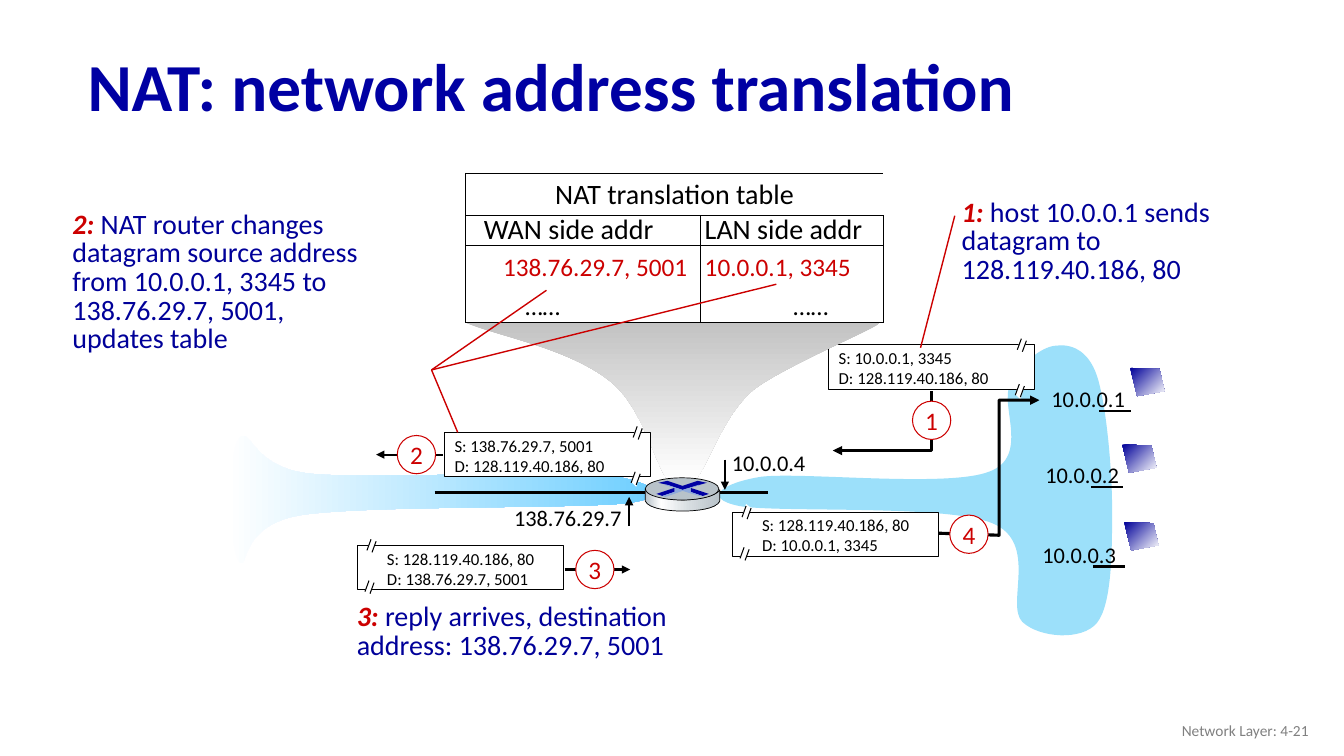
"""Build the slide that explains network address translation in four steps."""
from itertools import islice

from lxml.etree import SubElement
from pptx import Presentation
from pptx.dml.color import RGBColor
from pptx.enum.shapes import MSO_CONNECTOR, MSO_SHAPE
from pptx.enum.text import MSO_ANCHOR, PP_ALIGN
from pptx.oxml import parse_xml
from pptx.oxml.ns import nsdecls, qn
from pptx.util import Inches, Pt

COLORS = {
    "black": "000000", "white": "FFFFFF", "red": "CC0000", "navy": "0000A3",
    "note": "000099", "lan": "9CE0FA", "wan": "66CCFF", "silver": "BFBFBF",
    "steel": "B8C2C9", "mist": "D6DCE0", "edge": "8FAADC", "footer": "808080",
}


def rgb(name):
    return RGBColor.from_string(COLORS[name])


class Diagram:
    def __init__(self, slide, font="Calibri"):
        self.shapes = slide.shapes
        self.font = font

    def style(self, p, size, color="black", bold=False, align=None, spacing=None):
        p.alignment = align
        p.line_spacing = spacing
        p.font.name, p.font.size, p.font.bold = self.font, Pt(size), bold
        p.font.color.rgb = rgb(color)

    def paint(self, sp, fill, line=None, width=0.75):
        sp.shadow.inherit = False
        if fill:
            sp.fill.solid()
            sp.fill.fore_color.rgb = rgb(fill)
        else:
            sp.fill.background()
        if line:
            sp.line.color.rgb = rgb(line)
            sp.line.width = Pt(width)
        else:
            sp.line.fill.background()

    def gradient(self, sp, stops, angle=0):
        sp.fill.gradient()
        sp.fill.gradient_angle = -angle % 360
        stop_list = sp.element.find(".//" + qn("a:gsLst"))
        stop_list.clear()
        for position, color in stops:
            gs = SubElement(stop_list, qn("a:gs"), pos=str(position * 1000))
            SubElement(gs, qn("a:srgbClr"), val=COLORS[color])

    def shape(self, kind, x, y, w, h, fill="white", line="black", width=0.75):
        sp = self.shapes.add_shape(kind, Inches(x), Inches(y), Inches(w), Inches(h))
        self.paint(sp, fill, line, width)
        return sp

    def textbox(self, x, y, w, h, wrap=True, anchor=MSO_ANCHOR.TOP):
        tf = self.shapes.add_textbox(Inches(x), Inches(y), Inches(w), Inches(h)).text_frame
        tf.word_wrap, tf.vertical_anchor = wrap, anchor
        return tf

    def text(self, x, y, w, h, lines, size, wrap=True, anchor=MSO_ANCHOR.TOP, **style):
        tf = self.textbox(x, y, w, h, wrap, anchor)
        tf.text = "\n".join(lines)
        for p in tf.paragraphs:
            self.style(p, size, **style)

    def note(self, x, y, w, h, label, *lines):
        tf = self.textbox(x, y, w, h)
        p = tf.paragraphs[0]
        r = p.add_run()
        r.text = label + " "
        r.font.bold = r.font.italic = True
        r.font.color.rgb = rgb("red")
        p.add_run().text = lines[0]
        for line in lines[1:]:
            tf.add_paragraph().text = line
        for p in tf.paragraphs:
            self.style(p, 20, "note", spacing=0.85)

    def arrowhead(self, sp):
        SubElement(sp.element.find(".//" + qn("a:ln")), qn("a:tailEnd"), type="triangle")

    def line(self, x1, y1, x2, y2, color="black", width=0.75, arrow=False):
        cx = self.shapes.add_connector(
            MSO_CONNECTOR.STRAIGHT, Inches(x1), Inches(y1), Inches(x2), Inches(y2))
        cx.line.color.rgb = rgb(color)
        cx.line.width = Pt(width)
        if arrow:
            self.arrowhead(cx)
        SubElement(cx.element.find(qn("p:spPr")), qn("a:effectLst"))

    def outline(self, start, segments, fill=None, line=None, width=0.75, close=True):
        points = [seg[i:i + 2] for seg in segments for i in range(0, len(seg), 2)]
        builder = self.shapes.build_freeform(Inches(start[0]), Inches(start[1]))
        builder.add_line_segments([(Inches(x), Inches(y)) for x, y in points], close)
        sp = builder.convert_to_shape()
        steps = iter(list(sp.element.iter(qn("a:lnTo"))))
        for seg in segments:
            group = list(islice(steps, len(seg) // 2))
            if len(group) == 3:
                curve = group[0].makeelement(qn("a:cubicBezTo"))
                group[0].addprevious(curve)
                for step in group:
                    curve.append(step[0])
                    step.getparent().remove(step)
        self.paint(sp, fill, line, width)
        return sp

    def route(self, start, *points):
        self.arrowhead(self.outline(start, points, None, "black", 2.25, close=False))

    def step(self, x, y, number):
        sp = self.shape(MSO_SHAPE.OVAL, x, y, 0.38, 0.38, line="red")
        tf = sp.text_frame
        tf.margin_left = tf.margin_right = tf.margin_top = tf.margin_bottom = 0
        tf.word_wrap, tf.vertical_anchor = False, MSO_ANCHOR.MIDDLE
        tf.text = number
        self.style(tf.paragraphs[0], 18, "red", align=PP_ALIGN.CENTER)

    def packet(self, x, y, source, target, reply=False):
        self.shape(MSO_SHAPE.RECTANGLE, x, y, 2.04, 0.44)
        self.text(x + (0.19 if reply else 0), y - 0.02, 1.93, 0.5,
                  ["S: " + source, "D: " + target], 12)
        breaks = [(0.09, -0.08), (0.07, 0.33)] if reply else [(1.87, -0.08), (1.85, 0.37)]
        for dx, dy in breaks:
            bx, by = x + dx, y + dy
            self.outline((bx + 0.04, by), [(bx, by + 0.12), (bx + 0.05, by + 0.17),
                                           (bx + 0.09, by + 0.04)], "white")
            self.line(bx + 0.04, by + 0.02, bx, by + 0.13)
            self.line(bx + 0.09, by + 0.04, bx + 0.05, by + 0.15)

    def table(self, x, y, widths, rows):
        heights = [row[0] for row in rows]
        table = self.shapes.add_table(
            len(rows), len(widths), Inches(x), Inches(y),
            Inches(sum(widths)), Inches(sum(heights))).table
        table.first_row = table.horz_banding = False
        for col, width in zip(table.columns, widths):
            col.width = Inches(width)
        table.cell(0, 0).merge(table.cell(0, 1))
        for i, (height, size, color, spacing, cells) in enumerate(rows):
            table.rows[i].height = Inches(height)
            for j, (text, indent) in enumerate(cells):
                cell = table.cell(i, j)
                cell.text = text
                cell.margin_left = Inches(indent)
                cell.margin_right = cell.margin_top = cell.margin_bottom = 0
                cell.vertical_anchor = MSO_ANCHOR.MIDDLE
                self.style(cell.text_frame.paragraphs[0], size, color, spacing=spacing,
                           align=None if i else PP_ALIGN.CENTER)
                cell.fill.solid()
                cell.fill.fore_color.rgb = rgb("white")
                ruled = {"L": i or not j, "R": i or j, "T": i < 3, "B": i != 2}
                for k, (side, shown) in enumerate(ruled.items()):
                    paint = (f'<a:solidFill><a:srgbClr val="{COLORS["black"]}"/></a:solidFill>'
                             if shown else "<a:noFill/>")
                    cell.fill._xPr.insert(k, parse_xml(
                        f'<a:ln{side} {nsdecls("a")} w="9525">{paint}</a:ln{side}>'))


def main():
    prs = Presentation()
    prs.slide_width, prs.slide_height = Inches(13.33), Inches(7.5)
    d = Diagram(prs.slides.add_slide(prs.slide_layouts[6]))
    d.text(0.77, 0.31, 11.5, 1.17, ["NAT: network address translation"], 48,
           anchor=MSO_ANCHOR.MIDDLE, color="navy", bold=True, spacing=0.9)

    wan = d.outline((5.98, 4.71), [
        (5.45, 4.66, 3.68, 4.76, 3.08, 4.7), (2.48, 4.64, 2.49, 4.21, 2.37, 4.35),
        (2.25, 4.5, 2.27, 5.44, 2.37, 5.57), (2.47, 5.69, 2.35, 5.21, 2.99, 5.11),
        (3.63, 5.01, 5.73, 5.05, 6.23, 4.99), (6.73, 4.92, 6.41, 4.76, 5.98, 4.71)])
    d.gradient(wan, [(0, "white"), (100, "wan")])
    d.outline((7.55, 4.73), [
        (7.96, 4.68, 9.4, 4.84, 9.81, 4.68), (10.22, 4.53, 9.91, 4.02, 10.02, 3.81),
        (10.13, 3.6, 10.33, 3.44, 10.47, 3.43), (10.61, 3.41, 10.79, 3.46, 10.88, 3.73),
        (10.97, 4, 11.03, 4.64, 11.03, 5.05), (11.03, 5.46, 11.03, 5.99, 10.88, 6.18),
        (10.73, 6.36, 10.31, 6.33, 10.14, 6.17), (9.97, 6, 10.31, 5.38, 9.84, 5.19),
        (9.38, 5, 7.71, 5.09, 7.33, 5.02), (6.95, 4.94, 7.17, 4.79, 7.55, 4.73)], "lan")

    d.packet(8.22, 3.42, "10.0.0.1, 3345", "128.119.40.186, 80")
    d.route((9.24, 3.88), (9.24, 4.47), (8.26, 4.47))
    d.step(9.05, 3.98, "1")
    d.text(7.16, 4.41, 0.94, 0.37, ["10.0.0.4"], 16, wrap=False)
    d.text(5, 4.95, 1.28, 0.37, ["138.76.29.7"], 16, wrap=False)
    d.note(9.44, 1.93, 3.36, 0.96, "1:", "host 10.0.0.1 sends datagram to 128.119.40.186, 80")
    d.line(9.47, 2.14, 9.13, 3.45, "red", 1)

    funnel = d.outline((4.62, 3.2), [
        (4.62, 3.2, 8.23, 3.09, 8.71, 3.2), (8.85, 3.19, 7.77, 3.63, 7.47, 3.87),
        (7.17, 4.12, 7.02, 4.63, 6.89, 4.77), (6.63, 4.77),
        (6.49, 4.6, 6.38, 4.04, 6.05, 3.78), (5.63, 3.45, 4.95, 3.34, 4.62, 3.2)])
    d.gradient(funnel, [(0, "silver"), (100, "white")], 90)
    d.table(4.62, 1.72, [2.33, 1.81], [
        (0.42, 20, "black", None, [("NAT translation table", 0), ("", 0)]),
        (0.3, 20, "black", 0.85, [("WAN side addr", 0.18), ("LAN side addr", 0.04)]),
        (0.44, 18, "red", None, [("138.76.29.7, 5001", 0.37), ("10.0.0.1, 3345", 0.04)]),
        (0.32, 18, "black", None, [("……", 0.59), ("……", 0.92)])])

    d.packet(7.27, 5.08, "128.119.40.186, 80", "10.0.0.1, 3345", reply=True)
    d.route((9.31, 5.29), (9.91, 5.31), (9.91, 3.97), (10.31, 3.97))
    d.step(9.42, 5.11, "4")
    d.packet(4.41, 4.29, "138.76.29.7, 5001", "128.119.40.186, 80")
    d.line(4.39, 4.51, 3.73, 4.51, width=1.5, arrow=True)
    d.step(3.94, 4.32, "2")
    d.note(0.62, 2.05, 3.45, 1.53, "2:", "NAT router changes datagram source address "
           "from 10.0.0.1, 3345 to 138.76.29.7, 5001,", "updates table")
    for x, y in [(4.54, 4.29), (5.42, 2.88), (7.7, 2.82)]:
        d.line(4.28, 3.67, x, y, "red", 1)
    d.packet(3.55, 5.41, "128.119.40.186, 80", "138.76.29.7, 5001", reply=True)
    d.line(5.6, 5.65, 6.25, 5.65, width=1.5, arrow=True)
    d.step(5.71, 5.46, "3")
    d.note(3.44, 5.94, 3.89, 0.68, "3:", "reply arrives, destination address: 138.76.29.7, 5001")

    hosts = [("10.0.0.1", 10.33, 3.77, 11.21, 3.65, 10.9, 4.08),
             ("10.0.0.2", 10.27, 4.53, 11.13, 4.41, 10.82, 4.83),
             ("10.0.0.3", 10.24, 5.32, 11.15, 5.18, 10.84, 5.62)]
    for address, x, y, sx, sy, lx, ly in hosts:
        d.text(x, y, 0.94, 0.37, [address], 16, wrap=False)
        screen = d.outline((sx, sy), [(sx + 0.29, sy + 0.01), (sx + 0.34, sy + 0.23),
                                      (sx + 0.07, sy + 0.28)])
        d.gradient(screen, [(0, "note"), (100, "white")], 45)
        d.line(lx, ly, lx + 0.32, ly, width=1.5)

    d.line(4.31, 4.89, 7.62, 4.89, width=2)
    router = d.outline((7.14, 4.86), [
        (7.14, 4.97), (7.11, 5.05, 6.9, 5.07, 6.77, 5.07), (6.65, 5.07, 6.43, 5.05, 6.4, 4.97),
        (6.4, 4.85), (6.44, 4.92, 6.65, 4.96, 6.77, 4.96),
        (6.89, 4.96, 7.1, 4.93, 7.14, 4.86)], "steel", "black", 0.5)
    d.gradient(router, [(0, "steel"), (21, "white"), (60, "mist"), (100, "steel")])
    d.shape(MSO_SHAPE.OVAL, 6.4, 4.74, 0.73, 0.22, "steel", width=0.5)
    d.outline((6.92, 4.77), [(7.01, 4.79), (6.94, 4.81), (6.77, 4.86), (6.62, 4.81),
                             (6.53, 4.79), (6.62, 4.77), (6.77, 4.82)], "navy")
    for side in (1, -1):
        d.outline((6.77 + side * 0.08, 4.84), [
            (6.77 + side * dx, y) for dx, y in [(0.26, 4.9), (0.2, 4.92), (0.08, 4.88)]], "navy")
    d.outline((6.59, 4.81), [
        (6.62, 4.81), (6.77, 4.86), (6.93, 4.81), (6.95, 4.81), (6.85, 4.84), (6.85, 4.88),
        (6.96, 4.92), (6.93, 4.92), (6.77, 4.87), (6.6, 4.93), (6.57, 4.92), (6.69, 4.88),
        (6.69, 4.84)], "edge")
    d.line(6.24, 5.22, 6.24, 4.93, width=1.5, arrow=True)
    d.line(7.19, 4.56, 7.19, 4.86, width=1.5, arrow=True)
    d.text(10.08, 7.05, 3, 0.4, ["Network Layer: 4-21"], 11, anchor=MSO_ANCHOR.MIDDLE,
           color="footer", align=PP_ALIGN.RIGHT)
    prs.save("out.pptx")


if __name__ == "__main__":
    main()
